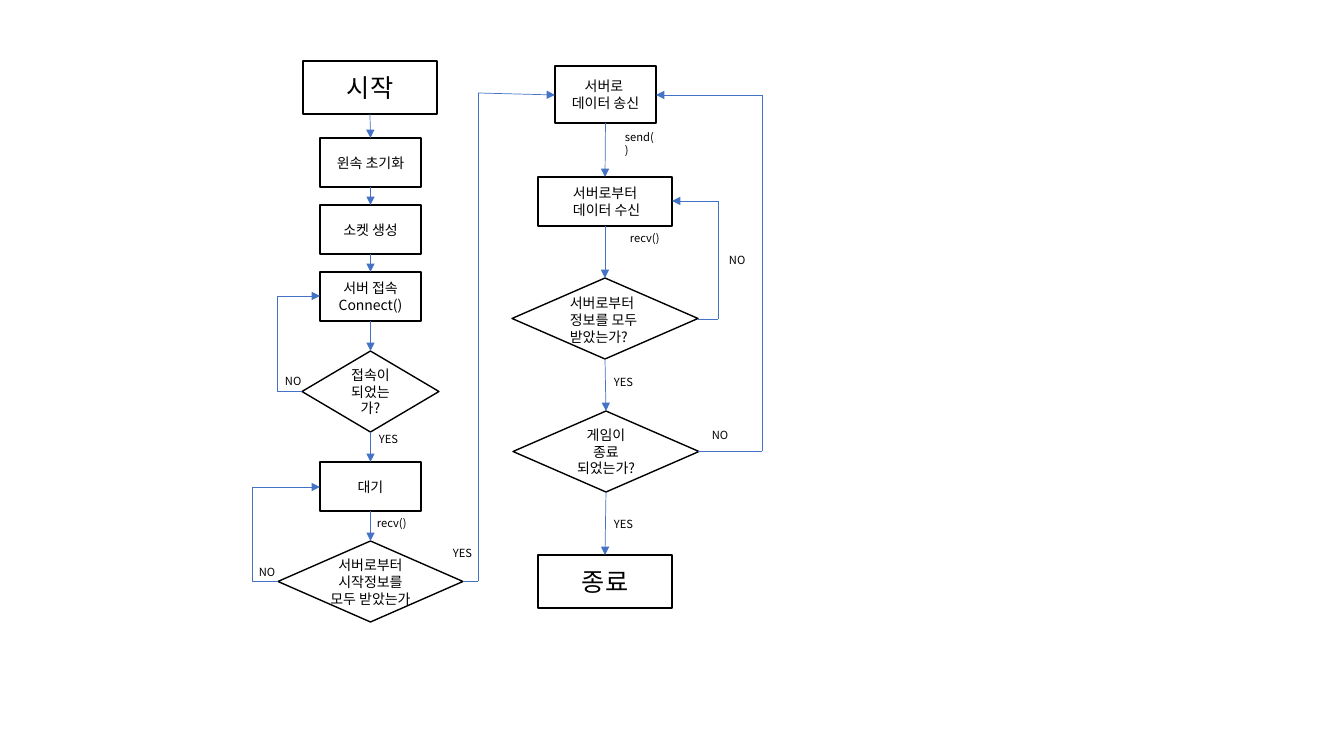
from dataclasses import dataclass
from itertools import pairwise
from lxml import etree
from pptx import Presentation
from pptx.dml.color import RGBColor
from pptx.enum.shapes import MSO_CONNECTOR, MSO_SHAPE
from pptx.enum.text import MSO_ANCHOR, MSO_AUTO_SIZE, PP_ALIGN
from pptx.oxml.ns import qn
from pptx.util import Emu, Pt


@dataclass(frozen=True)
class Theme:
    font: str = "Noto Sans CJK KR"
    ink: RGBColor = RGBColor(0, 0, 0)
    paper: RGBColor = RGBColor(255, 255, 255)
    flow: RGBColor = RGBColor(0x44, 0x72, 0xC4)
    big: Pt = Pt(18)
    body: Pt = Pt(10)
    small: Pt = Pt(8)
    edge: Pt = Pt(1)
    thin: Pt = Pt(0.5)


theme = Theme()
scale = 914400 / 100.8
deck = Presentation()
deck.slide_width, deck.slide_height = Emu(round(1344 * scale)), Emu(round(756 * scale))
slide = deck.slides.add_slide(deck.slide_layouts[6])


def write(frame, text, size, align):
    frame.word_wrap = True
    frame.text = text
    for para in frame.paragraphs:
        para.alignment = align
        for run in para.runs:
            run.font.size = size
            run.font.color.rgb = theme.ink
            run.font.name = theme.font
            etree.SubElement(run._r.get_or_add_rPr(), qn("a:ea"), typeface=theme.font)


def link(kind, points, arrow):
    line = slide.shapes.add_connector(kind, *[Emu(round(v * scale)) for v in points])
    line.line.color.rgb = theme.flow
    line.line.width = theme.thin
    if arrow:
        etree.SubElement(line.line._get_or_add_ln(), qn("a:tailEnd"), type="triangle")
    etree.SubElement(line._element.spPr, qn("a:effectLst"))
    return line


rect, diamond = MSO_SHAPE.RECTANGLE, MSO_SHAPE.DIAMOND
left = [
    (rect, 303, 61, 134, 53, "시작", theme.big),
    (rect, 320, 138, 101, 49, "윈속 초기화", theme.body),
    (rect, 320, 205, 101, 49, "소켓 생성", theme.body),
    (rect, 320, 272, 101, 49, "서버 접속\nConnect()", theme.body),
    (diamond, 302, 351, 137, 81, "접속이 되었는가?", theme.body),
    (rect, 320, 462, 101, 49, "대기", theme.body),
    (diamond, 278, 541, 185, 81, "", theme.body),
]
right = [
    (rect, 555, 66, 101, 57, "서버로 \n데이터 송신", theme.body),
    (rect, 538, 177, 134, 49, "서버로부터\n 데이터 수신", theme.body),
    (diamond, 512, 278, 186, 81, "", theme.body),
    (diamond, 513, 411, 186, 81, "게임이\n 종료 \n되었는가?", theme.body),
    (rect, 538, 555, 134, 53, "종료", theme.big),
]
for column in (left, right):
    steps = []
    for kind, *box, text, size in column:
        step = slide.shapes.add_shape(kind, *[Emu(round(v * scale)) for v in box])
        step.shadow.inherit = False
        step.fill.solid()
        step.fill.fore_color.rgb = theme.paper
        step.line.color.rgb = theme.ink
        step.line.width = theme.edge
        step.text_frame.vertical_anchor = MSO_ANCHOR.MIDDLE
        if text:
            write(step.text_frame, text, size, PP_ALIGN.CENTER)
        steps.append(step)
    for above, below in pairwise(steps):
        line = link(MSO_CONNECTOR.STRAIGHT, (0, 0, 0, 0), True)
        line.begin_connect(above, 2)
        line.end_connect(below, 0)

for start, top, bottom, turn in [(302, 296, 391, 277), (278, 487, 581, 252)]:
    loop = link(MSO_CONNECTOR.ELBOW, (start, bottom, 320, top), True)
    ratio = round((turn - start) / (320 - start) * 100000)
    guides = loop._element.spPr.find(qn("a:prstGeom")).get_or_add_avLst()
    etree.SubElement(guides, qn("a:gd"), name="adj1", fmla=f"val {ratio}")

routes = [
    [(698, 319), (718, 319), (718, 201), (672, 201)],
    [(698, 451), (762, 451), (762, 95), (656, 95)],
    [(463, 581), (478, 581), (478, 93), (555, 95)],
]
for route in routes:
    for begin, end in pairwise(route):
        link(MSO_CONNECTOR.STRAIGHT, begin + end, end == route[-1])

near, mid = PP_ALIGN.LEFT, PP_ALIGN.CENTER
notes = [(x, y, 52, 24, text, theme.small, near) for x, y, text in [
    (443, 541, "YES"), (369, 427, "YES"), (604, 370, "YES"), (604, 512, "YES"),
    (275, 369, "NO"), (249, 560, "NO"), (719, 248, "NO"), (702, 423, "NO"),
    (620, 226, "recv()"), (367, 511, "recv()"), (615, 125, "send()"),
]]
notes += [
    (560, 290, 113, 61, "서버로부터\n정보를 모두 받았는가?", theme.body, near),
    (312, 552, 117, 77, "서버로부터\n시작정보를\n모두 받았는가", theme.body, mid),
]
for *box, text, size, align in notes:
    note = slide.shapes.add_textbox(*[Emu(round(v * scale)) for v in box])
    write(note.text_frame, text, size, align)
    note.text_frame.auto_size = MSO_AUTO_SIZE.SHAPE_TO_FIT_TEXT

deck.save("out.pptx")
